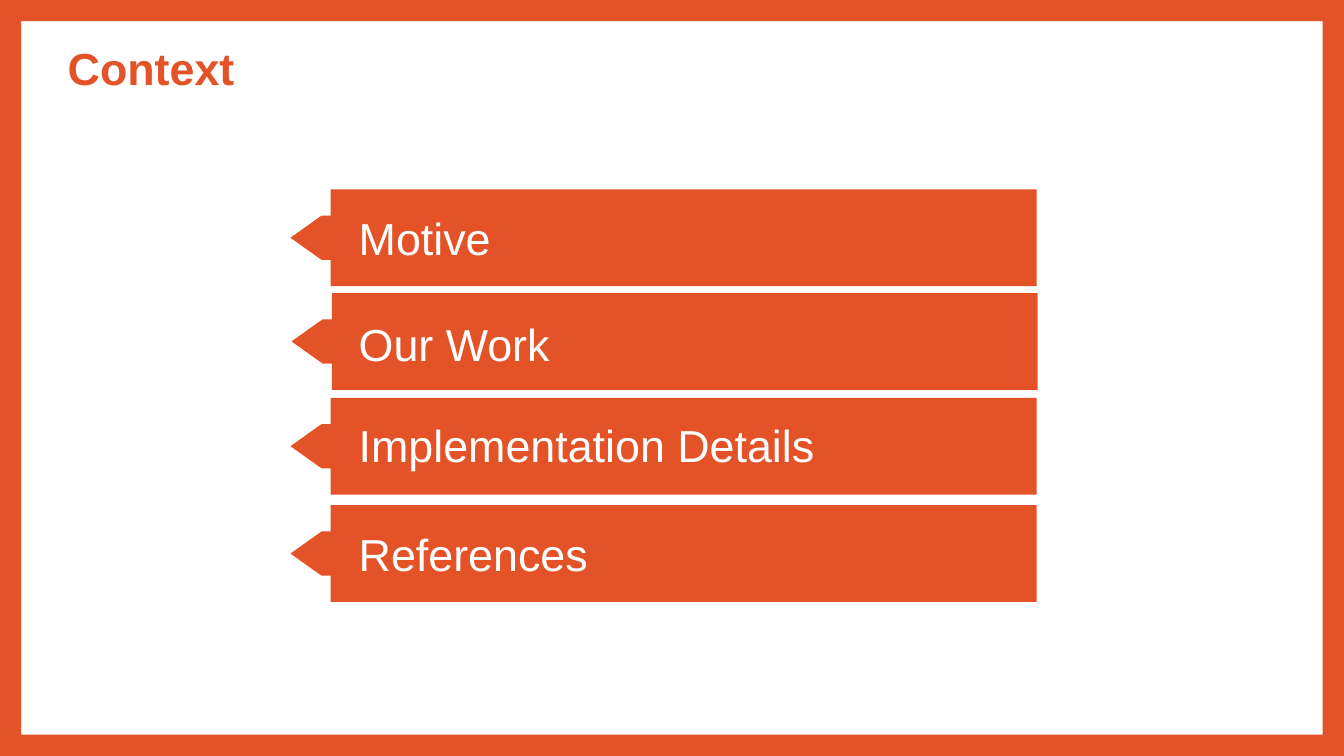
"""Build the Context agenda slide with four callout bars."""
from pptx import Presentation
from pptx import util as u
from pptx.dml.color import RGBColor
from pptx.enum import shapes, text

ORANGE = RGBColor(0xE4, 0x53, 0x27)
WHITE = RGBColor(0xFF, 0xFF, 0xFF)
ITEMS = [
    ("Motive", 5.49, 3.58, 3.86),
    ("Our Work", 5.51, 5.54, 5.87),
    ("Implementation Details", 5.49, 7.52, 7.77),
    ("References", 5.49, 9.55, 9.83),
]

prs = Presentation()
prs.slide_width, prs.slide_height = u.Cm(25.4), u.Cm(14.29)
s = prs.slides.add_slide(prs.slide_layouts[6])


def add_solid(kind, left, top, width, height, adjustments):
    sp = s.shapes.add_shape(kind, u.Cm(left), u.Cm(top), u.Cm(width), u.Cm(height))
    sp.shadow.inherit = False
    sp.fill.solid()
    sp.fill.fore_color.rgb = ORANGE
    sp.line.fill.background()
    for i, value in enumerate(adjustments):
        sp.adjustments[i] = value


def add_label(words, left, top, width, height, color, bold=False):
    sp = s.shapes.add_textbox(u.Cm(left), u.Cm(top), u.Cm(width), u.Cm(height))
    tf = sp.text_frame
    tf.word_wrap = True
    tf.text = words
    r = tf.paragraphs[0].runs[0]
    r.font.name = "Arial"
    r.font.size = u.Pt(24)
    r.font.bold = bold
    r.font.color.rgb = color
    return tf


add_solid(shapes.MSO_SHAPE.FRAME, 0, 0, 25.4, 14.29, [0.028])

tf = add_label("Context", 1.09, 0.53, 23.22, 1.5, ORANGE, bold=True)
tf.vertical_anchor = text.MSO_ANCHOR.MIDDLE
tf.margin_left = tf.margin_right = u.Cm(0.19)
tf.margin_top = tf.margin_bottom = u.Cm(0.1)

for words, left, bar_top, text_top in ITEMS:
    add_solid(shapes.MSO_SHAPE.LEFT_ARROW_CALLOUT, left, bar_top, 14.1, 1.83,
              [0.5, 0.228, 0.321, 0.946])
    tf = add_label(words, 6.53, text_top, 11.99, 1.27, WHITE)
    tf.auto_size = text.MSO_AUTO_SIZE.SHAPE_TO_FIT_TEXT

prs.save("out.pptx")
